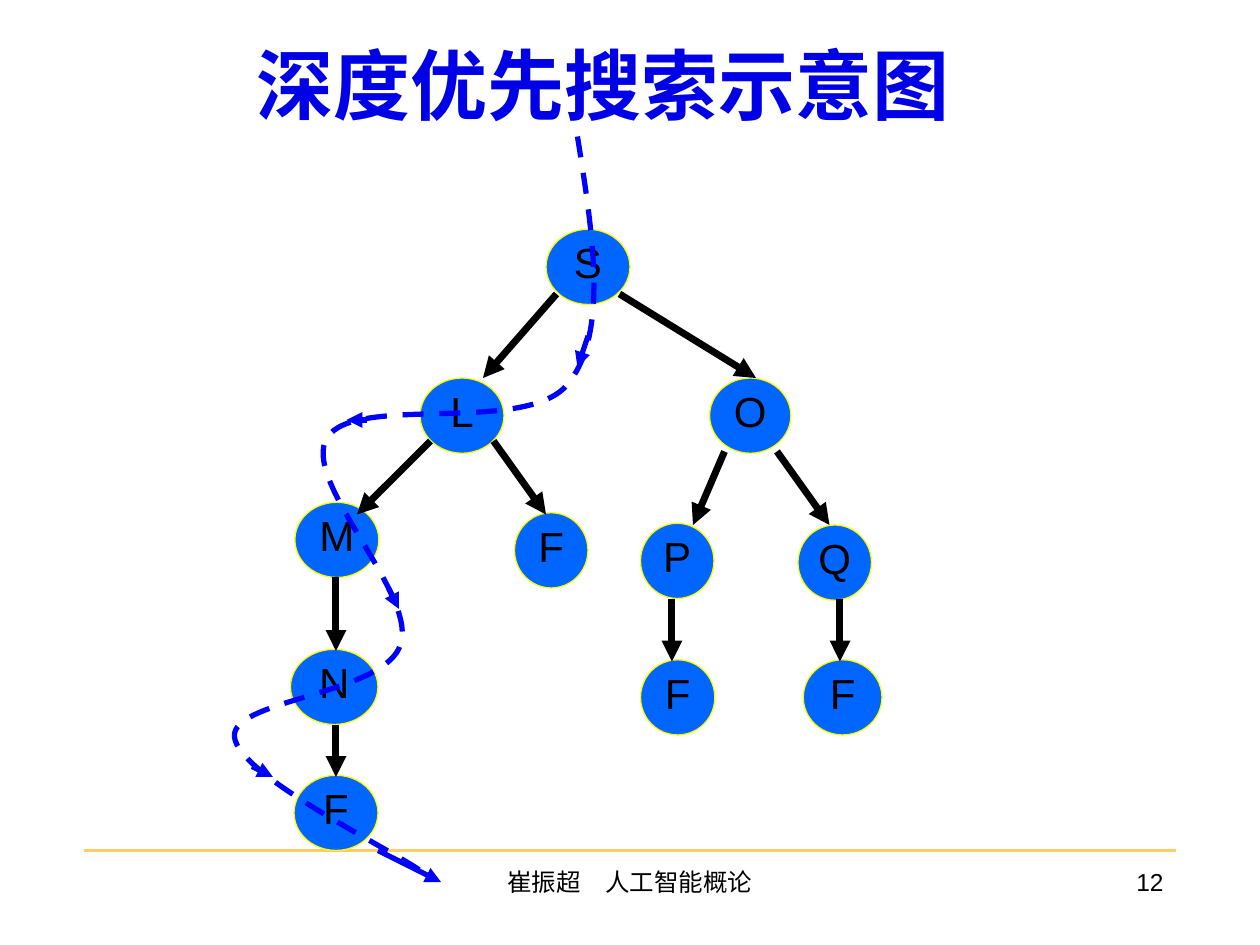
from lxml import etree
from pptx import Presentation
from pptx.dml.color import RGBColor
from pptx.enum.dml import MSO_LINE
from pptx.enum.shapes import MSO_CONNECTOR, MSO_SHAPE
from pptx.enum.text import MSO_ANCHOR, PP_ALIGN
from pptx.oxml.ns import qn
from pptx.util import Pt

STRAIGHT = MSO_CONNECTOR.STRAIGHT
OVAL = MSO_SHAPE.OVAL
DASH = MSO_LINE.DASH
TOP, MIDDLE = MSO_ANCHOR.TOP, MSO_ANCHOR.MIDDLE
CENTER, RIGHT = PP_ALIGN.CENTER, PP_ALIGN.RIGHT

BLACK = RGBColor(0x00, 0x00, 0x00)
TITLE_BLUE = RGBColor(0x00, 0x00, 0xE7)
ROUTE_BLUE = RGBColor(0x00, 0x00, 0xFF)
NODE_BLUE = RGBColor(0x00, 0x66, 0xFF)
YELLOW = RGBColor(0xFF, 0xFF, 0x00)
ORANGE = RGBColor(0xFF, 0xCC, 0x66)

LATIN, CJK = "Arial", "Noto Sans CJK SC"
NODE_HEIGHT = 43


class TreeSlide:
    """Holds the style and the current slide; all lengths are points."""

    def __init__(self, slide):
        self.slide = slide
        self.shapes = slide.shapes

    def label(self, shape, text, align, anchor, wrap, spacing=None, **font):
        frame = shape.text_frame
        frame.word_wrap = wrap
        frame.vertical_anchor = anchor
        paragraph = frame.paragraphs[0]
        paragraph.alignment = align
        if spacing:
            paragraph.line_spacing = spacing
        run = paragraph.add_run()
        run.text = text
        color = font.pop("color", BLACK)
        for name, value in {"name": LATIN, **font}.items():
            setattr(run.font, name, value)
        run.font.color.rgb = color
        east_asian = etree.SubElement(run.font._element, qn("a:ea"))
        east_asian.set("typeface", CJK)

    def text(self, box, text, align=CENTER, anchor=TOP, **font):
        shape = self.shapes.add_textbox(*map(Pt, box))
        self.label(shape, text, align, anchor, True, **font)

    def node(self, letter, left, top, width):
        oval = self.shapes.add_shape(
            OVAL, Pt(left), Pt(top), Pt(width), Pt(NODE_HEIGHT))
        oval.shadow.inherit = False
        oval.fill.solid()
        oval.fill.fore_color.rgb = NODE_BLUE
        oval.line.color.rgb = YELLOW
        oval.line.width = Pt(0.75)
        self.label(oval, letter, CENTER, MIDDLE, False, 0.8, size=Pt(24))

    def line(self, ends, color, width, arrow=True):
        connector = self.shapes.add_connector(STRAIGHT, *map(Pt, ends))
        connector.line.color.rgb = color
        connector.line.width = Pt(width)
        if arrow:
            tail = etree.SubElement(
                connector.line._get_or_add_ln(), qn("a:tailEnd"))
            tail.set("type", "triangle")
        etree.SubElement(connector._element.spPr, qn("a:effectLst"))

    def curve(self, start, points, color, width):
        """Draw cubic curves; each three points are two handles and an end."""
        builder = self.shapes.build_freeform(*map(Pt, start))
        builder.add_line_segments(
            [(Pt(x), Pt(y)) for x, y in points], close=False)
        route = builder.convert_to_shape()
        segments = list(route._element.iter(qn("a:lnTo")))
        for first in range(0, len(segments), 3):
            bezier = etree.Element(qn("a:cubicBezTo"))
            segments[first].addprevious(bezier)
            for segment in segments[first:first + 3]:
                bezier.append(segment[0])
                segment.getparent().remove(segment)
        route.shadow.inherit = False
        route.fill.background()
        route.line.color.rgb = color
        route.line.width = Pt(width)
        route.line.dash_style = DASH


def main():
    deck = Presentation()
    deck.slide_width, deck.slide_height = Pt(720), Pt(540)
    page = TreeSlide(deck.slides.add_slide(deck.slide_layouts[6]))

    # Footer rule, page number and title
    page.line((48, 486, 672, 486), ORANGE, 1.5, arrow=False)
    page.text((522, 492, 150, 36), "12", RIGHT, size=Pt(14))
    page.text((102, 18, 486, 60), "深度优先搜索示意图", anchor=MIDDLE,
              name=CJK, size=Pt(44), bold=True, color=TITLE_BLUE)

    # Tree nodes: letter, left, top, width
    nodes = [
        ("S", 312, 131, 48),
        ("L", 240, 216, 48), ("O", 405.5, 216, 46.5),
        ("M", 168.5, 287, 48), ("F", 294, 293, 42),
        ("P", 366, 299, 42), ("Q", 456, 300, 42),
        ("N", 166, 371, 50), ("F", 168, 443, 48),
        ("F", 366, 377, 42.5), ("F", 459, 377, 45),
    ]
    for node in nodes:
        page.node(*node)

    # Tree edges
    edges = [
        (318, 168, 276, 216), (354, 168, 432, 216),
        (246, 252, 204, 294), (282, 252, 312, 294),
        (414, 258, 396, 300), (444, 258, 474, 300),
        (192, 330, 192, 372), (192, 414, 192, 444),
        (384, 342, 384, 378), (480, 342, 480, 378),
    ]
    for edge in edges:
        page.line(edge, BLACK, 4)

    # Dashed search route with its direction arrows
    page.curve((330, 78), [
        (339, 134.5), (348, 191.5), (324, 220),
        (300, 248.5), (203, 225), (187, 250),
        (171.5, 274.5), (238.5, 339), (229, 368),
        (220.5, 397), (132, 399.5), (134, 421),
        (136, 443), (223, 485), (241, 498),
    ], ROUTE_BLUE, 3)
    directions = [
        (216, 486, 252, 504), (336, 192, 330, 210), (210, 240, 198, 240),
        (222, 336, 228, 348), (144, 438, 156, 444),
    ]
    for direction in directions:
        page.line(direction, ROUTE_BLUE, 3)

    # Footer text
    page.text((246, 492, 228, 36), "崔振超　人工智能概论", size=Pt(14))

    deck.save("out.pptx")


if __name__ == "__main__":
    main()
